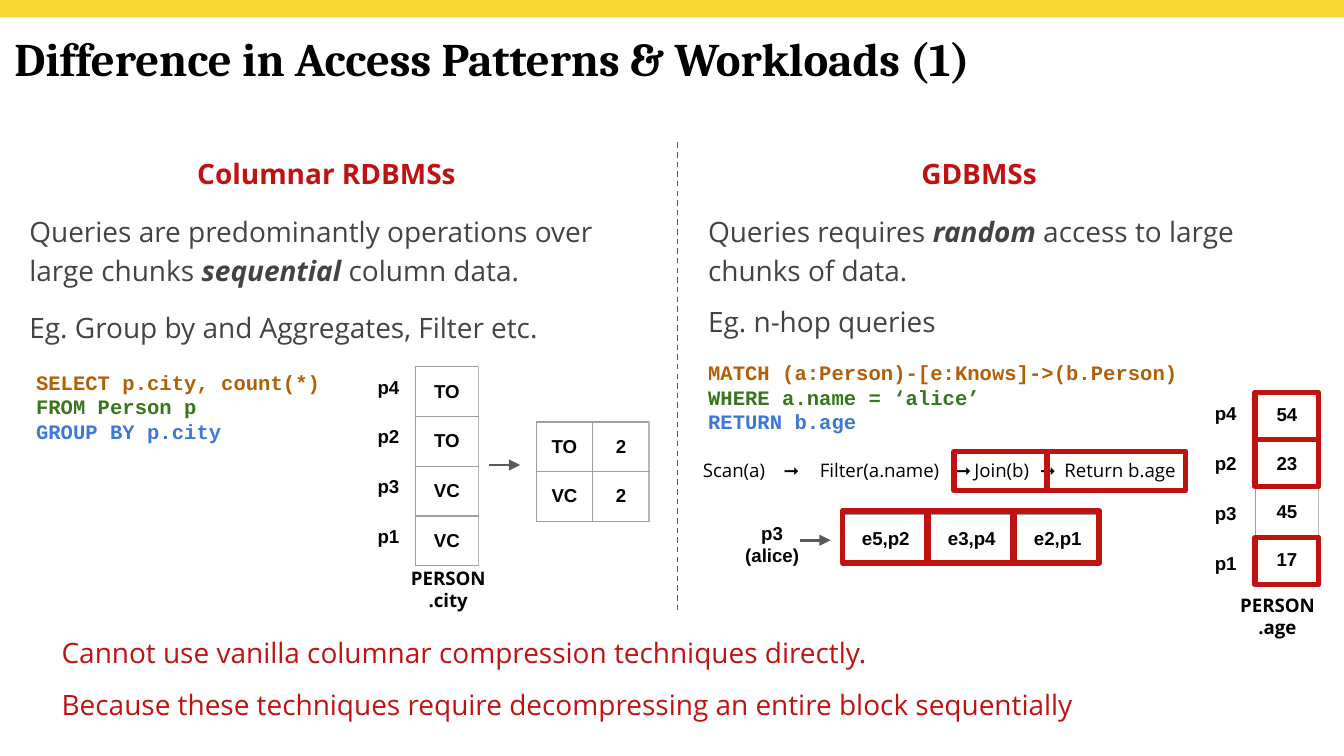
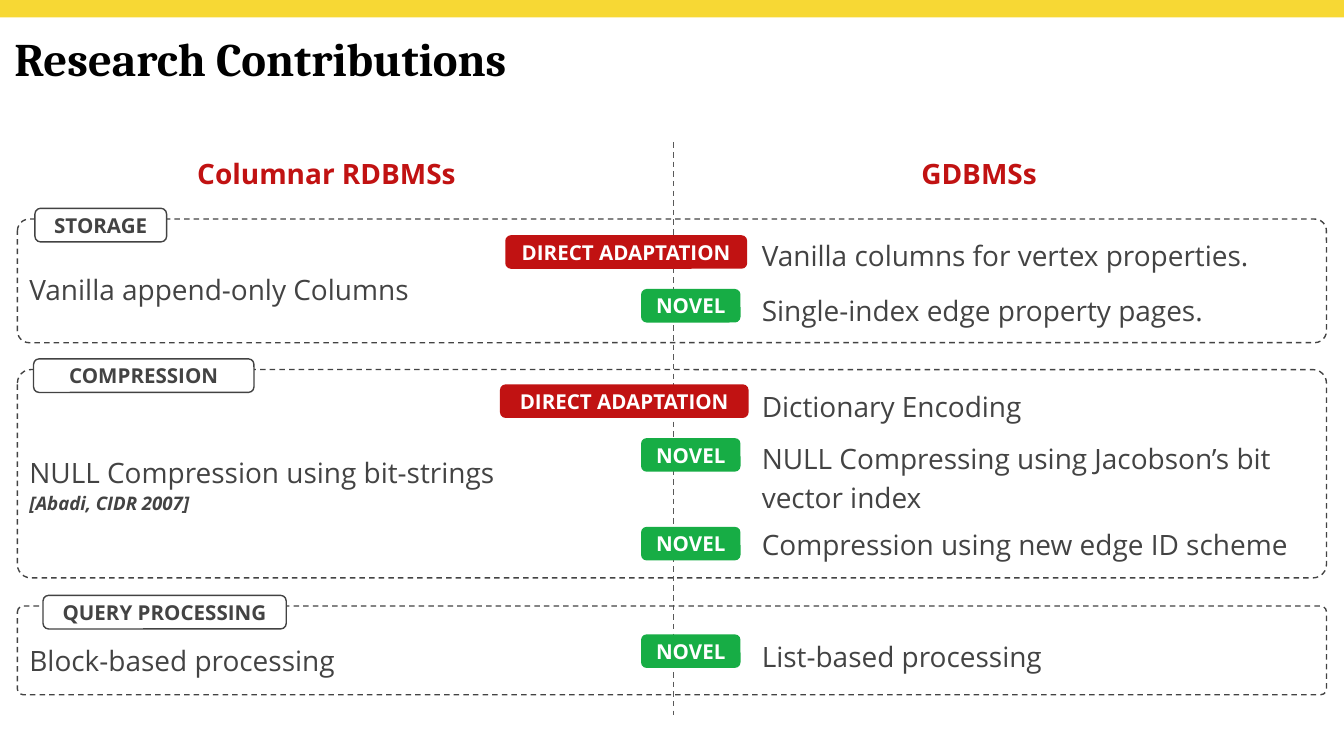
from dataclasses import dataclass, replace

from lxml import etree
from pptx import Presentation
from pptx import util as u
from pptx.dml.color import RGBColor
from pptx.enum import dml, shapes, text
from pptx.oxml.ns import qn

PX = 9144  # EMU per px, 100 px to the inch

RED, GREEN, YELLOW = "C11212", "17AD45", "F7D834"
BLACK, WHITE, INK = "000000", "FFFFFF", "434343"
RULE, GRID, GRID_RIGHT = "595959", "9E9E9E", "B7B7B7"
CODE_COLORS = ("B45F06", "38761D", "3C78D8")
LEFT, CENTER = text.PP_ALIGN.LEFT, text.PP_ALIGN.CENTER
TOP, MIDDLE = text.MSO_ANCHOR.TOP, text.MSO_ANCHOR.MIDDLE


@dataclass(frozen=True)
class Style:
    size: int
    font: str
    color: str
    bold: bool = False
    italic: bool = False
    align: int = LEFT
    spaced: bool = False


TITLE = Style(25, "Cambria", BLACK, bold=True)
BODY = Style(15, "Open Sans", INK, spaced=True)
EMPHASIS = replace(BODY, bold=True, italic=True)
CITATION = replace(EMPHASIS, size=10)
WARNING = replace(BODY, color=RED)
HEADING = replace(WARNING, bold=True, align=CENTER)
CELL = Style(10, "Arial", BLACK, bold=True, align=CENTER)
CAPTION = replace(CELL, font="Open Sans")
PLAN = Style(10, "Open Sans", BLACK)
BADGE = Style(11, "Open Sans", WHITE, bold=True, align=CENTER)
TAG = replace(BADGE, color=INK)
CODE = Style(11, "Courier New", BLACK, bold=True)


def px(*lengths):
    return [u.Emu(length * PX) for length in lengths]


def rgb(value):
    return RGBColor.from_string(value)


def format_para(para, style):
    para.alignment = style.align
    if style.spaced:
        para.line_spacing = 1.15
        para.space_after = u.Pt(10)
    for span in para.runs:
        format_span(span, style)


def format_span(span, style):
    font = span.font
    font.size, font.name = u.Pt(style.size), style.font
    font.bold, font.italic = style.bold, style.italic
    font.color.rgb = rgb(style.color)


def set_text(frame, words, style, inset=(10, 10, 10, 10), anchor=TOP, wrap=True):
    (frame.margin_left, frame.margin_top,
     frame.margin_right, frame.margin_bottom) = px(*inset)
    frame.vertical_anchor = anchor
    frame.word_wrap = wrap
    frame.text = words
    for para in frame.paragraphs:
        format_para(para, style)


def add_text(page, area, words, style, **layout):
    box = page.shapes.add_textbox(*px(*area))
    set_text(box.text_frame, words, style, **layout)
    return box.text_frame


def add_spans(frame, *spans):
    """Continue the first paragraph with (words, style) spans."""
    for words, style in spans:
        span = frame.paragraphs[0].add_run()
        span.text = words
        format_span(span, style)


def add_box(page, area, kind=shapes.MSO_SHAPE.RECTANGLE, fill=None, line=None,
            weight=0.75, dashed=False, corner=None):
    box = page.shapes.add_shape(kind, *px(*area))
    box.shadow.inherit = False
    if fill:
        box.fill.solid()
        box.fill.fore_color.rgb = rgb(fill)
    else:
        box.fill.background()
    if line:
        set_line(box.line, line, weight, dashed)
    else:
        box.line.fill.background()
    if corner is not None:
        box.adjustments[0] = corner
    return box


def set_line(line, color, weight, dashed=False):
    line.color.rgb = rgb(color)
    line.width = u.Pt(weight)
    if dashed:
        line.dash_style = dml.MSO_LINE.DASH


def add_line(page, start, end, weight, dashed=False, arrow=False):
    line = page.shapes.add_connector(shapes.MSO_CONNECTOR.STRAIGHT, *px(*start, *end))
    set_line(line.line, RULE, weight, dashed)
    properties = line._element.spPr
    if arrow:
        etree.SubElement(properties.find(qn("a:ln")), qn("a:tailEnd"), type="triangle")
    etree.SubElement(properties, qn("a:effectLst"))


def add_arrow(page, left, top):
    add_line(page, (left, top), (left + 23, top), 1.5, arrow=True)


def add_label(page, area, words, style, fill, line=None):
    """Rounded label with one centred line of text."""
    box = add_box(page, area, shapes.MSO_SHAPE.ROUNDED_RECTANGLE,
                  fill, line, corner=0.167)
    set_text(box.text_frame, words, style, inset=(10, 0, 10, 0),
             anchor=MIDDLE, wrap=False)


def set_borders(cell, right):
    properties = cell._tc.get_or_add_tcPr()
    for side, color in (("L", GRID), ("R", right), ("T", GRID), ("B", GRID)):
        line = etree.SubElement(properties, qn(f"a:ln{side}"), w=str(u.Pt(0.75)))
        fill = etree.SubElement(line, qn("a:solidFill"))
        etree.SubElement(fill, qn("a:srgbClr"), val=color)


def add_grid(page, left, top, rows, width, height, right=GRID_RIGHT):
    """Table with equal columns and rows; right colours its outer right border."""
    count = len(rows[0])
    area = (left, top, width * count, height * len(rows))
    table = page.shapes.add_table(len(rows), count, *px(*area)).table
    table.first_row = table.horz_banding = False
    for column in table.columns:
        column.width = u.Emu(width * PX)
    for row, values in zip(table.rows, rows):
        row.height = u.Emu(height * PX)
        for index, (cell, value) in enumerate(zip(row.cells, values)):
            set_borders(cell, right if index == count - 1 else GRID)
            cell.fill.background()
            (cell.margin_left, cell.margin_top,
             cell.margin_right, cell.margin_bottom) = px(0, 0, 0, 0)
            cell.vertical_anchor = MIDDLE
            cell.text = value
            format_para(cell.text_frame.paragraphs[0], CELL)


def add_person_column(page, left, top, height, values, labels_at, caption_left, name):
    add_grid(page, left, top, [[value] for value in values], 47, height)
    label_left, label_top = labels_at
    for index, person in enumerate(("p4", "p2", "p3", "p1")):
        add_text(page, (label_left, label_top + 37 * index, 52, 37), person, CELL)
    add_text(page, (caption_left, label_top + 147, 93, 43), f"PERSON\n.{name}",
             CAPTION, inset=(10, 8, 10, 10), anchor=MIDDLE)


def add_code(page, area, lines):
    frame = add_text(page, area, "\n".join(lines), CODE)
    for para, color in zip(frame.paragraphs, CODE_COLORS):
        format_para(para, replace(CODE, color=color))


def add_highlight(page, *area):
    add_box(page, area, line=RED, weight=3)


def add_query_plan(page):
    frame = add_text(page, (485, 329, 428, 43),
                     "Scan(a)\t➞\tFilter(a.name)\t➞\tJoin(b)\t➞\tReturn b.age", PLAN,
                     inset=(38, 8, 0, 10), anchor=MIDDLE)
    stops = etree.SubElement(frame.paragraphs[0]._p.get_or_add_pPr(), qn("a:tabLst"))
    for stop in (60, 87, 188, 202, 251, 269):
        etree.SubElement(stops, qn("a:tab"), pos=str(stop * PX), algn="l")
    add_highlight(page, 710, 336, 69, 29)
    add_highlight(page, 779, 336, 103, 29)


def start_page(deck, title, divider_left, divider_end):
    """Page with the band, title and two headings around a divider."""
    page = deck.slides.add_slide(deck.slide_layouts[6])
    add_box(page, (0, 0, 1000, 13), fill=YELLOW)
    add_text(page, (1, 12, 763, 62), title, TITLE)
    add_text(page, (110, 103, 266, 52), "Columnar RDBMSs", HEADING)
    add_text(page, (640, 103, 177, 52), "GDBMSs", HEADING)
    add_line(page, (divider_left, 106), (divider_left, divider_end), 0.75, dashed=True)
    return page


def add_access_patterns(deck):
    page = start_page(deck, "Difference in Access Patterns & Workloads (1)", 504, 457)

    frame = add_text(page, (12, 146, 465, 74),
                     "Queries are predominantly operations over large chunks ", BODY)
    add_spans(frame, ("sequential", EMPHASIS), (" column data.", BODY))
    add_text(page, (12, 217, 465, 45), "Eg. Group by and Aggregates, Filter etc.", BODY)
    add_code(page, (17, 265, 256, 74),
             ("SELECT p.city, count(*)", "FROM Person p", "GROUP BY p.city"))
    add_person_column(page, 309, 273, 37, ("TO", "TO", "VC", "VC"),
                      (263, 271), 287, "city")
    add_arrow(page, 364, 346)
    add_grid(page, 399, 314, [["TO", "2"], ["VC", "2"]], 42, 37)

    frame = add_text(page, (517, 146, 465, 74), "Queries requires ", BODY)
    add_spans(frame, ("random", EMPHASIS), (" access to large chunks of data.", BODY))
    add_text(page, (517, 213, 400, 45), "Eg. n-hop queries", BODY)
    add_code(page, (517, 258, 392, 74),
             ("MATCH (a:Person)-[e:Knows]->(b.Person)",
              "WHERE a.name = ‘alice’", "RETURN b.age"))
    add_grid(page, 627, 383, [["e5,p2", "e3,p4", "e2,p1"]], 64, 37, right=GRID)
    add_person_column(page, 934, 291, 36, ("54", "23", "45", "17"),
                      (886, 291), 904, "age")
    for top in (400, 327, 292):
        add_highlight(page, 934, top, 47, 35)
    for index in range(3):
        add_highlight(page, 627 + 64 * index, 380, 63, 39)
    add_text(page, (543, 378, 63, 54), "p3 (alice)", CELL)
    add_arrow(page, 595, 402)
    add_query_plan(page)

    add_text(page, (36, 459, 712, 45),
             "Cannot use vanilla columnar compression techniques directly.", WARNING)
    add_text(page, (36, 498, 788, 45),
             "Because these techniques require decompressing an entire block sequentially",
             WARNING)


def add_section(page, top, height, corner, tag, tag_left, tag_width):
    add_box(page, (13, top, 974, height), shapes.MSO_SHAPE.ROUNDED_RECTANGLE,
            line=INK, dashed=True, corner=corner)
    add_label(page, (tag_left, top - 8, tag_width, 25), tag, TAG, WHITE, INK)


def add_columnar(page, top, words):
    return add_text(page, (12, top, 375, 45), words, BODY)


def add_contribution(page, top, words, badge_top, adapted=None):
    """GDBMS entry; adapted is the (left, width) of a direct-adaptation badge."""
    add_text(page, (557, top, 424, 45), words, BODY)
    left, width = adapted or (477, 74)
    badge, fill = ("DIRECT ADAPTATION", RED) if adapted else ("NOVEL", GREEN)
    add_label(page, (left, badge_top, width, 25), badge, BADGE, fill)


def add_contributions(deck):
    page = start_page(deck, "Research Contributions", 501, 532)

    add_section(page, 163, 92, 0.095, "STORAGE", 26, 98)
    add_columnar(page, 189, "Vanilla append-only Columns")
    add_contribution(page, 164, "Vanilla columns for vertex properties.", 175, (376, 180))
    add_contribution(page, 205, "Single-index edge property pages.", 215)

    add_section(page, 275, 155, 0.065, "COMPRESSION", 25, 164)
    frame = add_columnar(page, 325, "NULL Compression using bit-strings ")
    add_spans(frame, ("[Abadi, CIDR 2007]", CITATION))
    add_contribution(page, 276, "Dictionary Encoding", 286, (372, 185))
    add_contribution(page, 315, "NULL Compressing using Jacobson’s bit vector index", 326)
    add_contribution(page, 379, "Compression using new edge ID scheme", 392)

    add_section(page, 451, 66, 0.065, "QUERY PROCESSING", 32, 181)
    add_columnar(page, 465, "Block-based processing")
    add_contribution(page, 462, "List-based processing", 472)


def main():
    deck = Presentation()
    deck.slide_width = u.Emu(1000 * PX)
    deck.slide_height = u.Emu(deck.slide_width * 9 // 16)
    add_access_patterns(deck)
    add_contributions(deck)
    deck.save("out.pptx")


if __name__ == "__main__":
    main()
